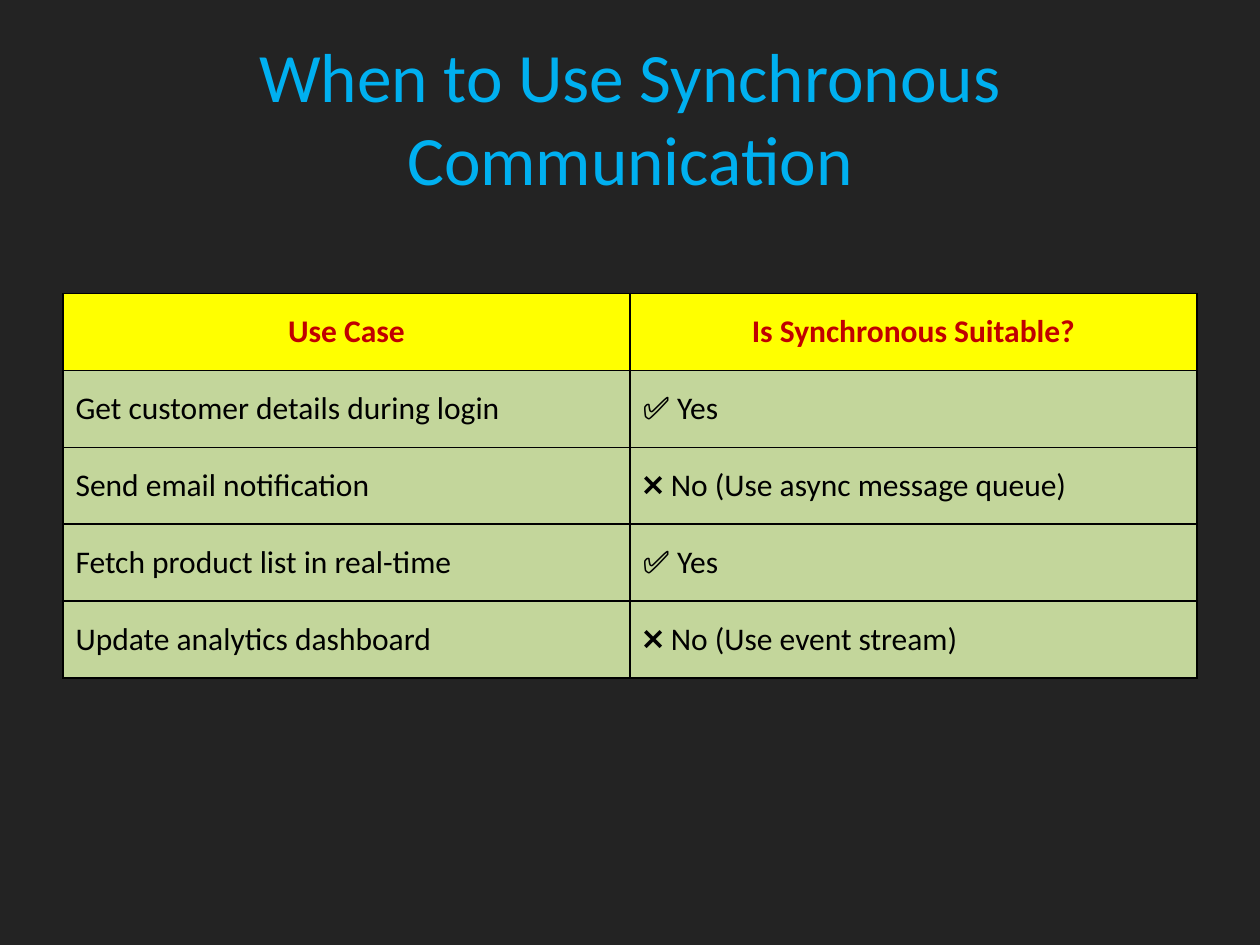
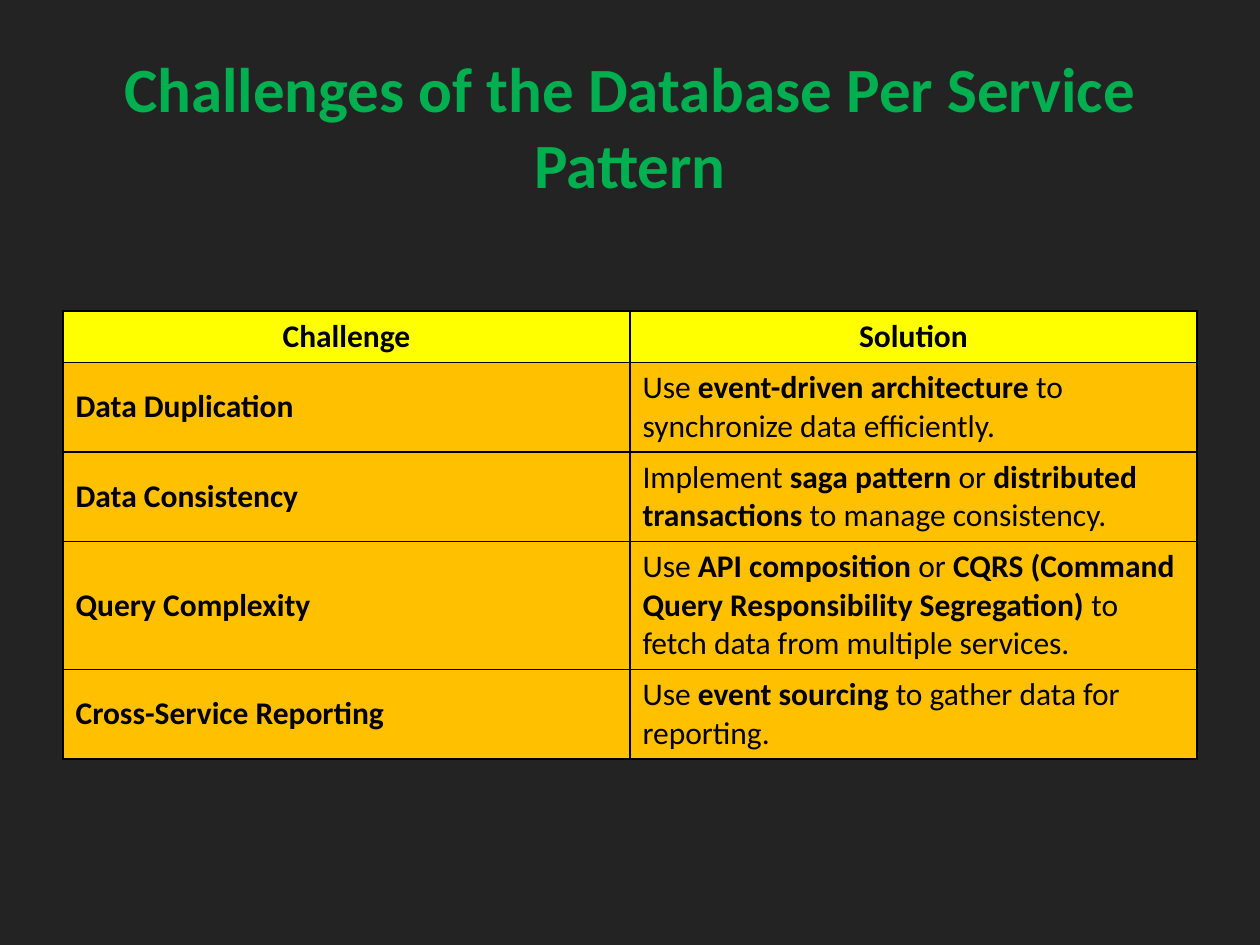
from lxml import etree
from pptx import Presentation
from pptx.dml.color import RGBColor
from pptx.enum.text import MSO_ANCHOR, MSO_AUTO_SIZE, PP_ALIGN
from pptx.oxml import parse_xml
from pptx.oxml.ns import nsdecls
from pptx.util import Inches, Pt

MIDDLE = MSO_ANCHOR.MIDDLE
CENTER = PP_ALIGN.CENTER
LEFT = PP_ALIGN.LEFT
FIXED = MSO_AUTO_SIZE.NONE

FONT = "Calibri"
HEX = {
    "back": "232323",
    "black": "000000",
    "head": "FFFF00",
    "red": "C00000",
    "blue": "00B0F0",
    "green": "00B050",
    "sage": "C3D69B",
    "amber": "FFC000",
}
RGB = {name: RGBColor.from_string(code) for name, code in HEX.items()}

# Text between asterisks is bold.
SLIDES = [
    {
        "title": "When to Use Synchronous Communication",
        "color": "blue", "size": 39.6, "bold": False, "top": 0.3,
        "table top": 2.33, "head color": "red", "fill": "sage",
        "heights": [0.61] * 5,
        "rows": [
            ("*Use Case*", "*Is Synchronous Suitable?*"),
            ("Get customer details during login", "✅ Yes"),
            ("Send email notification", "❌ No (Use async message queue)"),
            ("Fetch product list in real-time", "✅ Yes"),
            ("Update analytics dashboard", "❌ No (Use event stream)"),
        ],
    },
    {
        "title": "Challenges of the Database Per Service Pattern",
        "color": "green", "size": 36, "bold": True, "top": 0.37,
        "table top": 2.47, "head color": "black", "fill": "amber",
        "heights": [0.1 + 0.3 * lines for lines in (1, 2, 2, 3, 2)],
        "rows": [
            ("*Challenge*", "*Solution*"),
            ("*Data Duplication*",
             "Use *event-driven architecture* to synchronize data efficiently."),
            ("*Data Consistency*",
             "Implement *saga pattern* or *distributed transactions* "
             "to manage consistency."),
            ("*Query Complexity*",
             "Use *API composition* or *CQRS (Command Query Responsibility "
             "Segregation)* to fetch data from multiple services."),
            ("*Cross-Service Reporting*",
             "Use *event sourcing *to gather data for reporting."),
        ],
    },
]


def style(para, size, color, align):
    para.alignment = align
    para.font.name = FONT
    para.font.size = Pt(size)
    para.font.color.rgb = RGB[color]


def frame(cell):
    """Draw a 1 pt black border on all four sides of a table cell."""
    props = cell._tc.get_or_add_tcPr()
    for spot, side in enumerate("LRTB"):
        line = parse_xml(f'<a:ln{side} {nsdecls("a")} w="{Pt(1)}"/>')
        fill = etree.SubElement(line, line.tag.replace(f"ln{side}", "solidFill"))
        color = etree.SubElement(fill, line.tag.replace(f"ln{side}", "srgbClr"))
        color.set("val", HEX["black"])
        props.insert(spot, line)


deck = Presentation()
deck.slide_width, deck.slide_height = Inches(10), Inches(7.5)
layout = deck.slide_layouts.get_by_name("Title Only")

for data in SLIDES:
    slide = deck.slides.add_slide(layout)
    slide.background.fill.solid()
    slide.background.fill.fore_color.rgb = RGB["back"]

    title = slide.shapes.title
    title.left, title.top = Inches(0.5), Inches(data["top"])
    title.width, title.height = Inches(9), Inches(1.25)
    title.text = data["title"]
    title.text_frame.auto_size = FIXED
    title.text_frame.vertical_anchor = MIDDLE
    para = title.text_frame.paragraphs[0]
    style(para, data["size"], data["color"], CENTER)
    para.font.bold = data["bold"]

    rows, heights = data["rows"], data["heights"]
    table = slide.shapes.add_table(
        len(rows), 2, Inches(0.5), Inches(data["table top"]),
        Inches(9), Inches(sum(heights))).table
    table.horz_banding = False

    for i, (texts, height) in enumerate(zip(rows, heights)):
        table.rows[i].height = Inches(height)
        fill, color, align = (
            (data["fill"], "black", LEFT) if i
            else ("head", data["head color"], CENTER))
        for j, text in enumerate(texts):
            cell = table.cell(i, j)
            cell.vertical_anchor = MIDDLE
            cell.fill.solid()
            cell.fill.fore_color.rgb = RGB[fill]
            frame(cell)
            para = cell.text_frame.paragraphs[0]
            style(para, 18, color, align)
            for k, part in enumerate(text.split("*")):
                if part:
                    run = para.add_run()
                    run.text = part
                    run.font.bold = k % 2 == 1

deck.save("out.pptx")
